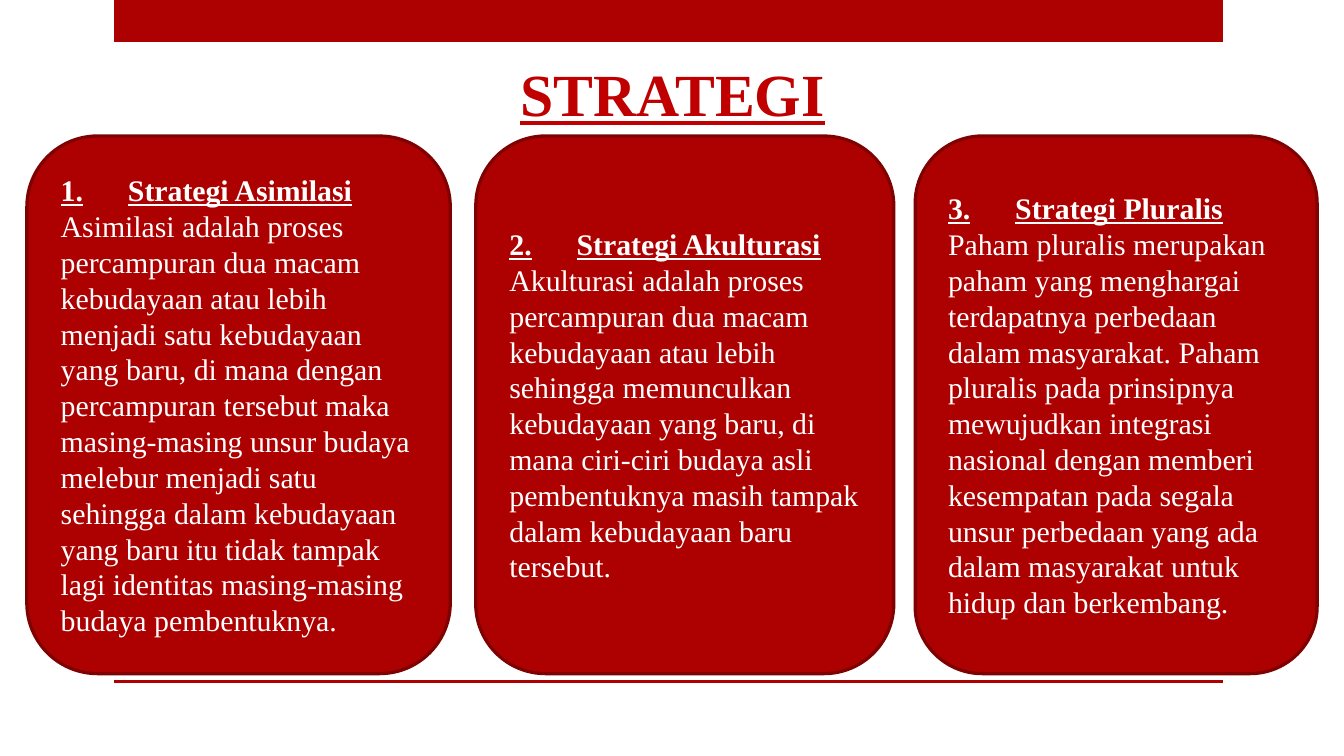
from dataclasses import dataclass

import pptx
import pptx.dml.color
import pptx.enum.shapes
import pptx.enum.text
import pptx.oxml.ns
import pptx.util
from lxml import etree

Kind = pptx.enum.shapes.MSO_SHAPE
Align = pptx.enum.text.PP_ALIGN
Anchor = pptx.enum.text.MSO_ANCHOR
WIDE = pptx.util.Inches(10)
HIGH = WIDE * 9 // 16


@dataclass(frozen=True)
class Theme:
    font: str = "Times New Roman"
    red: str = "AD0101"
    edge: str = "800101"
    title: str = "C00000"
    white: str = "FFFFFF"
    big: float = 32
    small: float = 16
    line: float = 1.75


@dataclass(frozen=True)
class Area:
    """Percent of the slide's width (x, w) and height (y, h)."""
    x: float
    y: float
    w: float
    h: float

    def emu(self) -> tuple[int, ...]:
        return (round(self.x * WIDE / 100), round(self.y * HIGH / 100),
                round(self.w * WIDE / 100), round(self.h * HIGH / 100))


@dataclass(frozen=True)
class Card:
    x: float
    w: float
    head: str
    body: str


THEME = Theme()
TOP, TALL = 18, 71.11
BARS = (Area(8.5, 0, 82.5, 5.56), Area(8.5, 89.95, 82.5, 0.4))
TITLE = Area(8.3, 6.65, 83.5, 11.35)
CARDS = (
    Card(2, 31.5, "Strategi Asimilasi",
         "Asimilasi adalah proses percampuran dua macam kebudayaan atau lebih "
         "menjadi satu kebudayaan yang baru, di mana dengan percampuran "
         "tersebut maka masing-masing unsur budaya melebur menjadi satu "
         "sehingga dalam kebudayaan yang baru itu tidak tampak lagi identitas "
         "masing-masing budaya pembentuknya."),
    Card(35.4, 31.1, "Strategi Akulturasi",
         "Akulturasi adalah proses percampuran dua macam kebudayaan atau lebih "
         "sehingga memunculkan kebudayaan yang baru, di mana ciri-ciri budaya "
         "asli pembentuknya masih tampak dalam kebudayaan baru tersebut."),
    Card(68.1, 29.9, "Strategi Pluralis",
         "Paham pluralis merupakan paham yang menghargai terdapatnya perbedaan "
         "dalam masyarakat. Paham pluralis pada prinsipnya mewujudkan "
         "integrasi nasional dengan memberi kesempatan pada segala unsur "
         "perbedaan yang ada dalam masyarakat untuk hidup dan berkembang."),
)


def rgb(code: str) -> pptx.dml.color.RGBColor:
    return pptx.dml.color.RGBColor.from_string(code)


def write(par, text: str, size: float, color: str, strong: bool) -> None:
    """Add one run; a strong run is bold and underlined."""
    run = par.add_run()
    run.text = text
    font = run.font
    font.name, font.size = THEME.font, pptx.util.Pt(size)
    font.bold = font.underline = strong
    font.color.rgb = rgb(color)


def set_tab(par, inches: float) -> None:
    props = par._p.get_or_add_pPr()
    tabs = etree.SubElement(props, pptx.oxml.ns.qn("a:tabLst"))
    etree.SubElement(tabs, pptx.oxml.ns.qn("a:tab"),
                     pos=str(pptx.util.Inches(inches)), algn="l")


def draw_shape(slide, kind: Kind, area: Area):
    shape = slide.shapes.add_shape(kind, *area.emu())
    shape.shadow.inherit = False
    shape.fill.solid()
    shape.fill.fore_color.rgb = rgb(THEME.red)
    shape.line.fill.background()
    return shape


def draw_title(slide, text: str) -> None:
    frame = slide.shapes.add_textbox(*TITLE.emu()).text_frame
    frame.word_wrap = True
    frame.auto_size = pptx.enum.text.MSO_AUTO_SIZE.SHAPE_TO_FIT_TEXT
    par = frame.paragraphs[0]
    par.alignment = Align.CENTER
    write(par, text, THEME.big, THEME.title, True)


def draw_card(slide, card: Card, num: int) -> None:
    area = Area(card.x, TOP, card.w, TALL)
    shape = draw_shape(slide, Kind.ROUNDED_RECTANGLE, area)
    shape.line.color.rgb = rgb(THEME.edge)
    shape.line.width = pptx.util.Pt(THEME.line)
    frame = shape.text_frame
    frame.word_wrap = True
    frame.vertical_anchor = Anchor.MIDDLE
    head, body = frame.paragraphs[0], frame.add_paragraph()
    head.alignment = body.alignment = Align.LEFT
    set_tab(head, 0.5)
    write(head, f"{num}.\t{card.head}", THEME.small, THEME.white, True)
    write(body, card.body, THEME.small, THEME.white, False)


def main() -> None:
    deck = pptx.Presentation()
    deck.slide_width, deck.slide_height = WIDE, HIGH
    slide = deck.slides.add_slide(deck.slide_layouts[6])
    for bar in BARS:
        draw_shape(slide, Kind.RECTANGLE, bar)
    draw_title(slide, "STRATEGI")
    for num, card in enumerate(CARDS, 1):
        draw_card(slide, card, num)
    deck.save("out.pptx")


if __name__ == "__main__":
    main()
